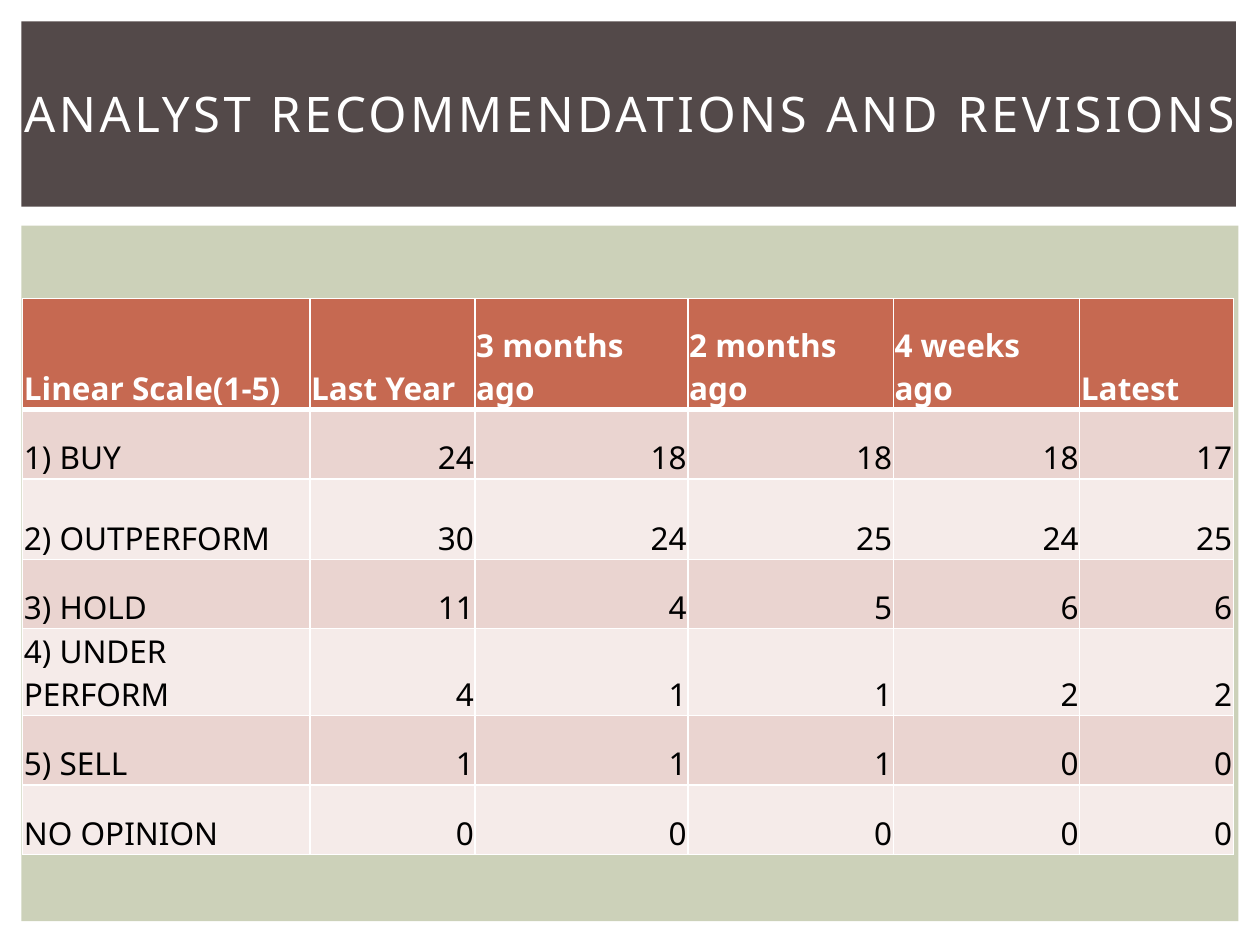
import dataclasses

import pptx
import pptx.dml.color
import pptx.enum.shapes
import pptx.enum.text
import pptx.oxml
import pptx.oxml.ns
import pptx.util

Inches = pptx.util.Inches
Pt = pptx.util.Pt
Color = pptx.dml.color.RGBColor.from_string
Align = pptx.enum.text.PP_ALIGN
Anchor = pptx.enum.text.MSO_ANCHOR


@dataclasses.dataclass
class Theme:
    """Colours, font and type sizes of the slide."""
    white: str = "FFFFFF"
    black: str = "000000"
    banner: str = "534949"
    panel: str = "CCD1B9"
    head: str = "C66951"
    bands: tuple = ("F5EBE9", "EAD4D0")
    font: str = "Noto Sans"
    title: int = 28
    body: int = 18


theme = Theme()


def style(para, size, color, bold=False):
    """Format every run of a paragraph."""
    for run in para.runs:
        run.font.name = theme.font
        run.font.size = Pt(size)
        run.font.bold = bold
        run.font.color.rgb = Color(color)


def edge(cell, side, width):
    """Draw one white border of a cell."""
    line = pptx.oxml.parse_xml(
        f'<a:{side} {pptx.oxml.ns.nsdecls("a")} w="{Pt(width)}"><a:solidFill>'
        f'<a:srgbClr val="{theme.white}"/></a:solidFill></a:{side}>')
    cell._tc.get_or_add_tcPr().append(line)


deck = pptx.Presentation()
deck.slide_width, deck.slide_height = Inches(10), Inches(7.5)
slide = deck.slides.add_slide(deck.slide_layouts[5])

# Backdrop
for box, color in (((0.17, 1.79, 9.66, 5.52), theme.panel),
                   ((0.17, 0.17, 9.64, 1.47), theme.banner)):
    block = slide.shapes.add_shape(
        pptx.enum.shapes.MSO_SHAPE.RECTANGLE, *map(Inches, box))
    block.shadow.inherit = False
    block.fill.solid()
    block.fill.fore_color.rgb = Color(color)
    block.line.fill.background()

# Table
heads = ("Linear Scale(1-5)", "Last Year", "3 months ago", "2 months ago",
         "4 weeks ago", "Latest")
rows = (
    heads,
    ("1) BUY", 24, 18, 18, 18, 17),
    ("2) OUTPERFORM", 30, 24, 25, 24, 25),
    ("3) HOLD", 11, 4, 5, 6, 6),
    ("4) UNDER PERFORM", 4, 1, 1, 2, 2),
    ("5) SELL ", 1, 1, 1, 0, 0),
    ("NO OPINION", 0, 0, 0, 0, 0),
)
wides = (2.28, 1.31, 1.69, 1.63, 1.48, 1.22)
highs = (0.88, 0.55, 0.64, 0.55, 0.55, 0.55, 0.55)
frame = slide.shapes.add_table(
    len(rows), len(heads), Inches(0.18), Inches(2.37),
    Inches(sum(wides)), Inches(sum(highs)))
table = frame.table
for col, wide in zip(table.columns, wides):
    col.width = Inches(wide)
for row, high in zip(table.rows, highs):
    row.height = Inches(high)

for r, row in enumerate(rows):
    top = r == 0
    for c, value in enumerate(row):
        cell = table.cell(r, c)
        cell.margin_left = cell.margin_right = cell.margin_top = Inches(0.01)
        cell.margin_bottom = 0
        cell.vertical_anchor = Anchor.BOTTOM
        for side in ("lnL", "lnR", "lnT", "lnB"):
            thick = (top and side == "lnB") or (r == 1 and side == "lnT")
            edge(cell, side, 3 if thick else 1)
        cell.fill.solid()
        cell.fill.fore_color.rgb = Color(theme.head if top else theme.bands[r % 2])
        para = cell.text_frame.paragraphs[0]
        para.text = str(value)
        para.alignment = Align.LEFT if top or c == 0 else Align.RIGHT
        style(para, theme.body, theme.white if top else theme.black, top)

# Title, in front of the banner
title = slide.shapes.title
slide.shapes._spTree.append(title._element)
title.left, title.top = 0, 0
title.width, title.height = deck.slide_width, Inches(1.8)
text = title.text_frame
text.text = "ANALYST RECOMMENDATIONS AND REVISIONS"
text.word_wrap = True
text.margin_left = text.margin_right = Inches(0.05)
text.vertical_anchor = Anchor.MIDDLE
para = text.paragraphs[0]
para.alignment = Align.CENTER
style(para, theme.title, theme.white)
para.runs[0].font._element.set("spc", "200")

deck.save("out.pptx")
